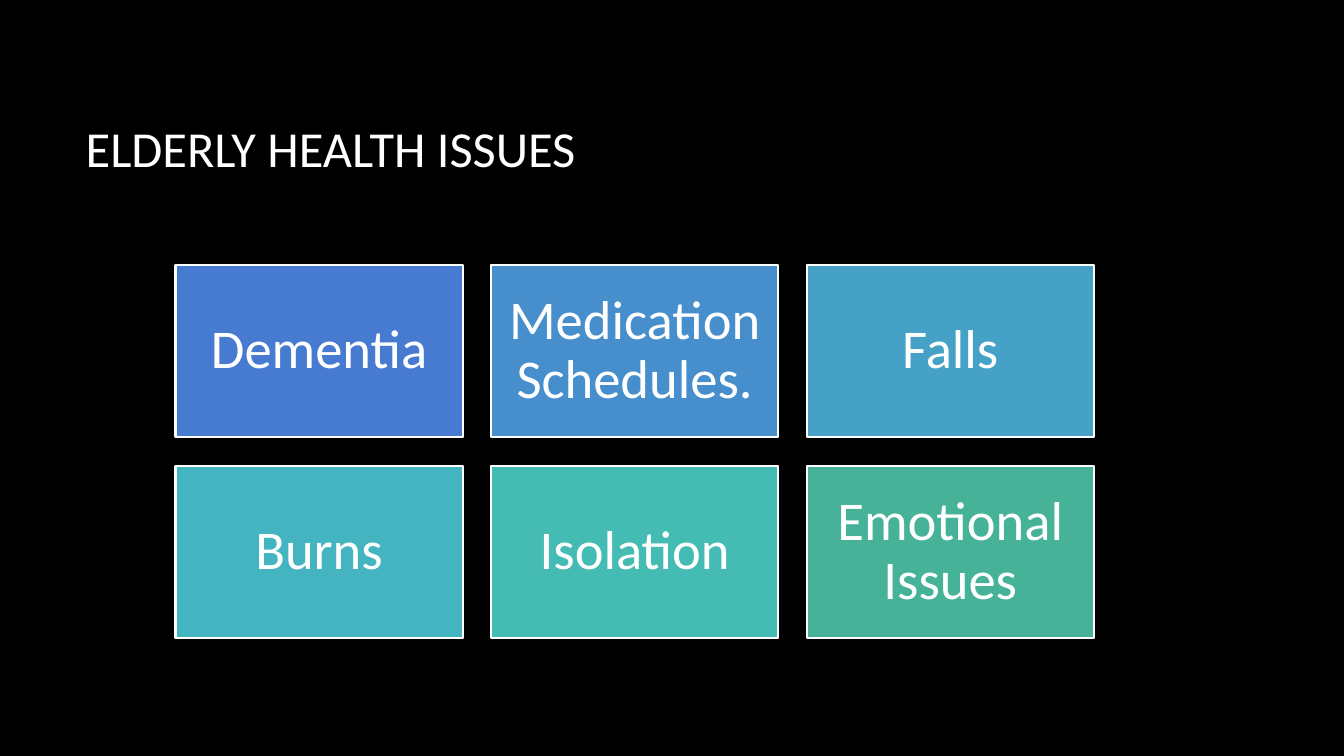
import pptx
import pptx.dml.color
import pptx.enum.shapes
import pptx.enum.text
import pptx.util

PX = 9144
COLORS = {
    "background": "000000",
    "white": "FFFFFF",
    "Dementia": "477BD1",
    "Medication Schedules.": "468FCC",
    "Falls": "45A2C6",
    "Burns": "44B4C1",
    "Isolation": "44BBB3",
    "Emotional Issues": "46B298",
}
ISSUES = [
    ["Dementia", "Medication Schedules.", "Falls"],
    ["Burns", "Isolation", "Emotional Issues"],
]


def px(*lengths):
    return [pptx.util.Emu(n * PX) for n in lengths]


def rgb(name):
    return pptx.dml.color.RGBColor.from_string(COLORS[name])


def write(tf, text, size, font="Calibri", color="white", align="LEFT", spacing=1.0, inset=None):
    tf.word_wrap = True
    tf.auto_size = pptx.enum.text.MSO_AUTO_SIZE.NONE
    tf.vertical_anchor = pptx.enum.text.MSO_ANCHOR.MIDDLE
    if inset is not None:
        tf.margin_left, tf.margin_top, tf.margin_right, tf.margin_bottom = px(*[inset] * 4)
    p = tf.paragraphs[0]
    p.alignment = getattr(pptx.enum.text.PP_ALIGN, align)
    p.line_spacing = spacing
    r = p.add_run()
    r.text = text
    r.font.name = font
    r.font.size = pptx.util.Pt(size)
    r.font.color.rgb = rgb(color)


class IssueSlide:
    def __init__(self, prs):
        self.title_size = 36
        self.box_size = 39
        self.s = prs.slides.add_slide(prs.slide_layouts[5])
        fill = self.s.background.fill
        fill.solid()
        fill.fore_color.rgb = rgb("background")

    def title(self, text, x, y, w, h):
        sp = self.s.shapes.title
        sp.left, sp.top, sp.width, sp.height = px(x, y, w, h)
        write(sp.text_frame, text, self.title_size)

    def box(self, text, x, y, w, h):
        rect = pptx.enum.shapes.MSO_SHAPE.RECTANGLE
        sp = self.s.shapes.add_shape(rect, *px(x, y, w, h))
        sp.shadow.inherit = False
        sp.fill.solid()
        sp.fill.fore_color.rgb = rgb(text)
        sp.line.color.rgb = rgb("white")
        sp.line.width = pptx.util.Pt(1.5)
        write(sp.text_frame, text, self.box_size, align="CENTER", spacing=0.9, inset=16)

    def grid(self, rows, x, y, w, h, gap):
        for i, row in enumerate(rows):
            for j, text in enumerate(row):
                self.box(text, x + j * (w + gap), y + i * (h + gap), w, h)


def main():
    prs = pptx.Presentation()
    prs.slide_width, prs.slide_height = px(1333, 750)
    slide = IssueSlide(prs)
    slide.title("ELDERLY HEALTH ISSUES", 75, 67, 1108, 159)
    slide.grid(ISSUES, 174, 263, 285, 171, 28)
    prs.save("out.pptx")


if __name__ == "__main__":
    main()
